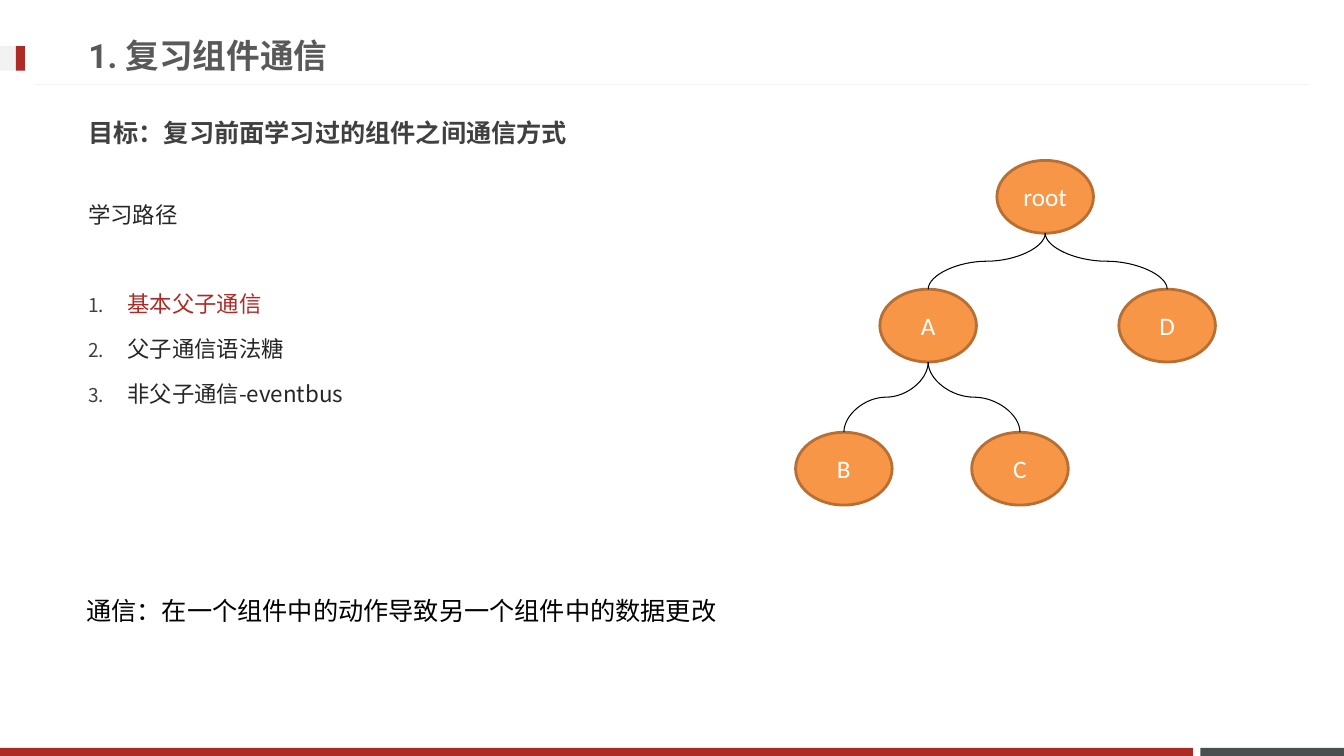
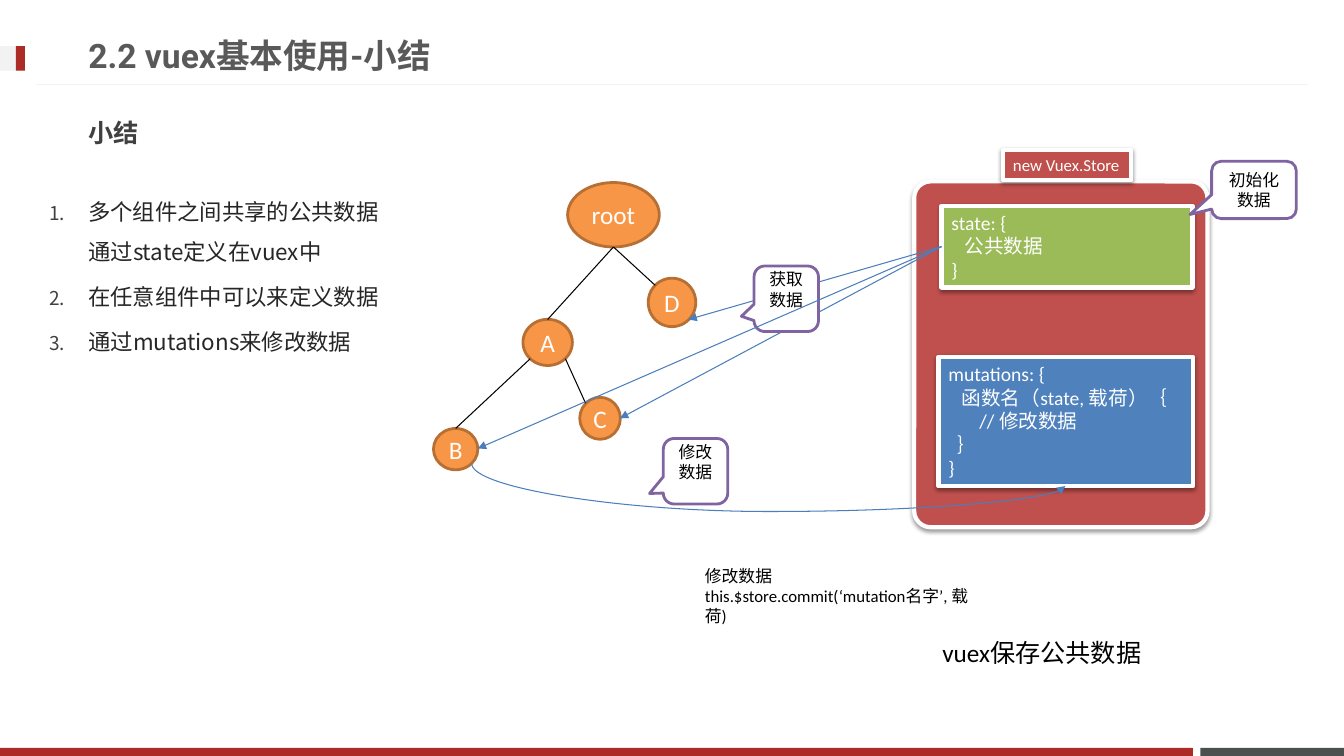
from lxml.etree import SubElement
from pptx import Presentation
from pptx.dml.color import RGBColor
from pptx.enum.shapes import MSO_CONNECTOR as Link, MSO_SHAPE as Kind
from pptx.enum.text import MSO_ANCHOR as Anchor, PP_ALIGN as Align
from pptx.oxml.ns import qn
from pptx.util import Pt

RED, PALE, SLATE = "AD2B26", "F2F2F2", "49504F"
GREY, DARK, INK = "595959", "404040", "262626"
BLACK, WHITE, BLUE = "000000", "FFFFFF", "4B7EBC"
ORANGE, BROWN, PURPLE = "F79646", "B76F34", "8064A2"
BRICK, GREEN, AZURE = "C0504D", "9BBB59", "4F81BD"
HEAD, BODY, PLAIN = "Roboto", "Noto Sans CJK JP", "Calibri"


def color(code):
    return RGBColor.from_string(code)


def add(node, tag, **attrs):
    return SubElement(node, qn(tag), **attrs)


class Deck:
    def __init__(self):
        self.show = Presentation()
        self.show.slide_width, self.show.slide_height = Pt(960), Pt(540)
        self.shapes = None

    def page(self, title, goal):
        self.shapes = self.show.slides.add_slide(self.show.slide_layouts[6]).shapes
        self.block(857.5, 534.2, 102.5, 5.8, SLATE)
        self.block(0, 534.2, 852, 5.8, RED)
        self.line((934.5, 60.3), (25.5, 60.3), PALE)
        self.block(0, 33, 18, 17.5, PALE)
        self.block(11.3, 33, 6.5, 17.5, RED)
        self.text([title], 56, 18.7, 690, 41, 24, GREY, HEAD, True, Anchor.MIDDLE)
        self.text([goal], 56, 74.2, 844, 41, 18, DARK, BODY, True, Anchor.MIDDLE)

    def fill(self, frame, lines, size, tint, font=PLAIN, bold=False, align=Align.LEFT):
        frame.text = "\n".join(lines)
        for para in frame.paragraphs:
            para.alignment = align
            for run in para.runs:
                face = run.font
                face.size, face.bold, face.name = Pt(size), bold, font
                face.color.rgb = color(tint)
                add(run._r.get_or_add_rPr(), "a:ea", typeface=font)

    def text(self, lines, x, y, w, h, size, tint=BLACK, font=PLAIN, bold=False,
             anchor=Anchor.TOP):
        frame = self.shapes.add_textbox(Pt(x), Pt(y), Pt(w), Pt(h)).text_frame
        frame.word_wrap, frame.vertical_anchor = True, anchor
        self.fill(frame, lines, size, tint, font, bold)
        return frame

    def steps(self, items, x, y, w, h, intro=None, hot=None):
        lines = ([intro] if intro else []) + items
        frame = self.text(lines, x, y, w, h, 16, INK, BODY)
        for spot, para in enumerate(frame.paragraphs):
            para.line_spacing = Pt(28.6)
            if spot:
                para.space_before = Pt(35.5 if intro and spot == 1 else 3.4)
            if para.text == intro:
                continue
            props = para._p.get_or_add_pPr()
            props.set("marL", str(Pt(28)))
            props.set("indent", str(-Pt(28)))
            add(add(props, "a:buClr"), "a:srgbClr", val=DARK)
            add(props, "a:buSzPct", val="85000")
            add(props, "a:buFont", typeface=BODY)
            add(props, "a:buAutoNum", type="arabicPeriod")
            if para.text == hot:
                para.runs[0].font.color.rgb = color(RED)

    def block(self, x, y, w, h, tint, edge=None, thick=0, kind=Kind.RECTANGLE):
        shape = self.shapes.add_shape(kind, Pt(x), Pt(y), Pt(w), Pt(h))
        shape.shadow.inherit = False
        shape.fill.solid()
        shape.fill.fore_color.rgb = color(tint)
        if edge:
            shape.line.color.rgb = color(edge)
            shape.line.width = Pt(thick)
        else:
            shape.line.fill.background()
        return shape

    def node(self, label, x, y, w=69, h=52):
        shape = self.block(x - w / 2, y - h / 2, w, h, ORANGE, BROWN, 2, Kind.OVAL)
        frame = shape.text_frame
        frame.word_wrap, frame.vertical_anchor = False, Anchor.MIDDLE
        frame.margin_left = frame.margin_right = 0
        frame.margin_top = frame.margin_bottom = 0
        self.fill(frame, [label], 18, WHITE, align=Align.CENTER)

    def panel(self, lines, x, y, w, h, tint, size=14, kind=Kind.RECTANGLE):
        shape = self.block(x, y, w, h, tint, WHITE, 3, kind)
        glow = add(shape._element.spPr.find(qn("a:effectLst")), "a:outerShdw",
                   blurRad=str(Pt(3.1)), dist=str(Pt(1.6)), dir="5400000", rotWithShape="0")
        add(add(glow, "a:srgbClr", val=BLACK), "a:alpha", val="38000")
        if lines:
            shape.text_frame.word_wrap = True
            shape.text_frame.vertical_anchor = Anchor.TOP
            self.fill(shape.text_frame, lines, size, WHITE)
        return shape

    def bubble(self, label, x, y, w, h, tip, anchor=Anchor.TOP):
        shape = self.block(x, y, w, h, WHITE, PURPLE, 2, Kind.ROUNDED_RECTANGULAR_CALLOUT)
        shape.adjustments[0], shape.adjustments[1] = tip
        frame = shape.text_frame
        frame.word_wrap, frame.vertical_anchor = True, anchor
        frame.margin_top = frame.margin_bottom = 0
        self.fill(frame, [label], 12, BLACK, align=Align.CENTER)

    def line(self, start, end, tint=BLACK, arrow=False, kind=Link.STRAIGHT, root=None):
        link = self.shapes.add_connector(kind, *map(Pt, start + end))
        if root:
            link.begin_connect(root, 1)
        link.line.color.rgb = color(tint)
        link.line.width = Pt(0.75)
        props = link._element.spPr
        if arrow:
            add(props.find(qn("a:ln")), "a:tailEnd", type="triangle")
        add(props, "a:effectLst")
        return props

    def curve(self, start, end, tint=BLACK, arrow=False, bend=0.5):
        (x1, y1), (x2, y2) = start, end
        midx, midy = (x1 + x2) / 2, (y1 + y2) / 2
        wide, tall = (y2 - y1) / 2, abs(x2 - x1) / 2
        side = 1 if x2 < x1 else -1
        props = self.line((midx - side * wide, midy - tall),
                          (midx + side * wide, midy + tall), tint, arrow, Link.CURVE)
        props.find(qn("a:xfrm")).set("rot", str((90 if side > 0 else 270) * 60000))
        geom = props.find(qn("a:prstGeom"))
        guides = geom.find(qn("a:avLst"))
        if guides is None:
            guides = add(geom, "a:avLst")
        add(guides, "a:gd", name="adj1", fmla=f"val {round(bend * 100000)}")


def review(deck):
    deck.page("1. 复习组件通信", "目标：复习前面学习过的组件之间通信方式")
    deck.steps(["基本父子通信", "父子通信语法糖", "非父子通信-eventbus"],
               56, 130.5, 380, 179, "学习路径", "基本父子通信")
    spots = {"root": (746.6, 140.6), "A": (663, 232.6), "B": (602.8, 334.8),
             "C": (728.6, 334.8), "D": (833.7, 232.6)}
    for label, spot in spots.items():
        deck.node(label, *spot)
    for top, low in ("root", "A"), ("root", "D"), ("A", "B"), ("A", "C"):
        (x1, y1), (x2, y2) = spots[top], spots[low]
        deck.curve((x1, y1 + 26), (x2, y2 - 26))
    deck.text(["通信：在一个组件中的动作导致另一个组件中的数据更改"],
              54.5, 422, 480, 29, 18)


def recap(deck):
    deck.page("2.2 vuex基本使用-小结", "小结")
    deck.steps(["多个组件之间共享的公共数据通过state定义在vuex中",
                "在任意组件中可以来定义数据", "通过mutations来修改数据"],
               28, 128.5, 253.5, 75)
    for node in (("root", 438.2, 153.4, 65.5, 46), ("A", 391.2, 244.6, 35.3, 33),
                 ("B", 325.5, 320.8, 31.7, 29.5), ("C", 428.6, 298.8, 29, 30),
                 ("D", 480, 216, 34, 34.6)):
        deck.node(*node)
    for start, end in (((378.7, 256.3), (325.5, 306)), ((438.2, 176.4), (391.2, 228.2)),
                       ((438.2, 176.4), (468, 203.8)), ((403.9, 256.3), (418.3, 288))):
        deck.line(start, end)

    store = deck.panel([], 653, 129.6, 209.5, 247, BRICK, kind=Kind.ROUNDED_RECTANGLE)
    store.adjustments[0] = 0.056
    deck.text(["vuex保存公共数据"], 666, 451.5, 161.5, 29, 18)
    deck.text(["修改数据", "this.$store.commit(‘mutation名字’, 载荷)"],
              496.5, 400.3, 216, 36, 12)
    state = deck.panel(["state: {", "   公共数据", "}"], 672.5, 147, 179.3, 58.3, GREEN)
    deck.panel(["mutations: {", "   函数名（state, 载荷）｛", "       // 修改数据", "  ｝", "}"],
               670.3, 255, 182, 92.2, AZURE)
    deck.panel(["new Vuex.Store"], 716.5, 107.3, 91.5, 21.6, BRICK, 12)

    port = (672.5, 176.15)
    for end in (442.8, 298.8), (491.8, 228.2):
        deck.line(port, end, BLUE, True, root=state)
    deck.curve((337, 331.2), (761, 347.2), BLUE, True, 2.14)
    deck.bubble("初始化数据", 865.5, 115.2, 60.5, 41, (-0.756, 0.428), Anchor.MIDDLE)
    deck.bubble("获取数据", 538.6, 190, 46, 46.8, (-0.697, 0.268))
    deck.line(port, (341.3, 320.4), BLUE, True, root=state)
    deck.bubble("修改数据", 473.8, 313.2, 46, 46.8, (-0.715, 0.34))


def main():
    deck = Deck()
    review(deck)
    recap(deck)
    deck.show.save("out.pptx")


if __name__ == "__main__":
    main()
